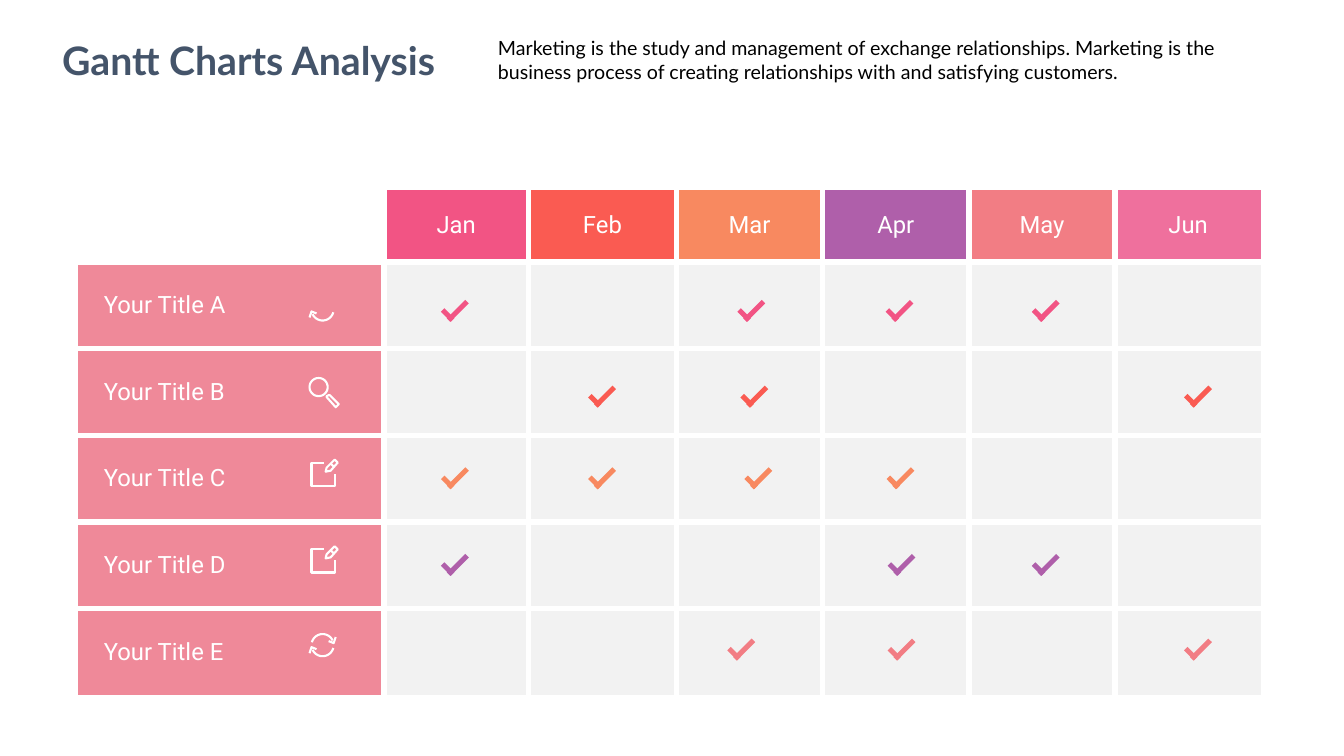
from dataclasses import dataclass
from math import cos, radians, sin

from lxml import etree
from pptx import Presentation
from pptx.dml.color import RGBColor
from pptx.enum.shapes import MSO_SHAPE
from pptx.enum.text import MSO_ANCHOR, MSO_AUTO_SIZE, PP_ALIGN
from pptx.oxml.ns import qn
from pptx.shapes.autoshape import Shape
from pptx.slide import Slide
from pptx.table import _Cell
from pptx.text.text import _Paragraph
from pptx.util import Emu, Pt

BAR = MSO_SHAPE.RECTANGLE
MIDDLE, TOP = MSO_ANCHOR.MIDDLE, MSO_ANCHOR.TOP
LEFT, CENTER = PP_ALIGN.LEFT, PP_ALIGN.CENTER
NO_AUTOFIT = MSO_AUTO_SIZE.NONE
EMU_PER_PX = 9144


@dataclass(frozen=True)
class Theme:
    heading_font: str = "Lato"
    table_font: str = "Roboto"
    title_size: float = 28
    summary_size: float = 14
    table_size: float = 17
    gap_width: float = 4.5
    icon_width: float = 1.5
    title: str = "44546A"
    summary: str = "000000"
    white: str = "FFFFFF"
    task: str = "EF8999"
    slot: str = "F2F2F2"
    pink: str = "F25484"
    red: str = "FA5B52"
    orange: str = "F88960"
    purple: str = "AF5FAA"
    coral: str = "F27D84"
    rose: str = "EF709D"


THEME = Theme()


@dataclass(frozen=True)
class Month:
    name: str
    color: str
    width: int


@dataclass(frozen=True)
class Stroke:
    points: list[tuple[float, float]]
    closed: bool = False


@dataclass(frozen=True)
class Task:
    title: str
    check_color: str
    check_top: int
    check_lefts: list[int]
    icon: list[Stroke]
    icon_left: int
    icon_top: int


def px(length: float) -> Emu:
    return Emu(round(length * EMU_PER_PX))


def arc(cx: float, cy: float, radius: float, start: int, end: int) -> list[tuple[float, float]]:
    return [(cx + radius * cos(radians(a)), cy + radius * sin(radians(a)))
            for a in range(start, end + 1, 10)]


def turning_arrow(sign: int) -> list[Stroke]:
    curve, head = arc(0, 0, 11, 15, 155), [(-6, 4), (-11, 2), (-13, 8)]
    return [Stroke([(sign * x, sign * y) for x, y in part]) for part in (curve, head)]


RETURN = turning_arrow(1)
REFRESH = turning_arrow(1) + turning_arrow(-1)
MAGNIFIER = [
    Stroke(arc(10, 10, 9, 0, 350), True),
    Stroke([(18, 20), (18, 19), (20, 18), (21, 18), (30, 27), (27, 30)], True),
]
NOTE = [
    Stroke([(13, 4), (1, 4), (1, 27), (24, 27), (24, 15)]),
    Stroke([(24, 1), (27, 4), (20, 12), (15, 13), (16, 9)], True),
    Stroke([(20, 5), (23, 8)]),
]

MONTHS = [
    Month("Jan", THEME.pink, 143),
    Month("Feb", THEME.red, 147),
    Month("Mar", THEME.orange, 145),
    Month("Apr", THEME.purple, 145),
    Month("May", THEME.coral, 145),
    Month("Jun", THEME.rose, 145),
]
TASKS = [
    Task("Your Title A", THEME.pink, 310, [437, 731, 878, 1023], RETURN, 320, 307),
    Task("Your Title B", THEME.red, 395, [583, 734, 1174], MAGNIFIER, 306, 374),
    Task("Your Title C", THEME.orange, 476, [437, 583, 738, 879], NOTE, 308, 455),
    Task("Your Title D", THEME.purple, 562, [437, 880, 1023], NOTE, 308, 541),
    Task("Your Title E", THEME.coral, 646, [721, 880, 1174], REFRESH, 320, 640),
]
TASK_WIDTH, HEADER_HEIGHT, TASK_HEIGHT = 304, 72, 86


def write(paragraph: _Paragraph, text: str, font: str, size: float, color: str,
          align: PP_ALIGN, bold: bool = False) -> None:
    paragraph.text = text
    paragraph.alignment = align
    paragraph.font.name = font
    paragraph.font.size = Pt(size)
    paragraph.font.bold = bold
    paragraph.font.color.rgb = RGBColor.from_string(color)


def place(box: Shape, left: int, top: int, width: int, height: int,
          anchor: MSO_ANCHOR, wrap: bool) -> _Paragraph:
    box.left, box.top, box.width, box.height = map(px, (left, top, width, height))
    frame = box.text_frame
    frame.auto_size = NO_AUTOFIT
    frame.word_wrap = wrap
    frame.vertical_anchor = anchor
    return frame.paragraphs[0]


def add_borders(cell: _Cell, sides: str) -> None:
    properties = cell._tc.get_or_add_tcPr()
    for position, side in enumerate(sides):
        line = etree.Element(qn(f"a:ln{side}"), w=str(Pt(THEME.gap_width)))
        paint = etree.SubElement(line, qn("a:solidFill"))
        etree.SubElement(paint, qn("a:srgbClr"), val=THEME.white)
        properties.insert(position, line)


def fill_cell(cell: _Cell, color: str, text: str = "", align: PP_ALIGN = CENTER,
              inset: int = 5) -> None:
    cell.fill.solid()
    cell.fill.fore_color.rgb = RGBColor.from_string(color)
    cell.vertical_anchor = MIDDLE
    cell.margin_left, cell.margin_right = px(inset), px(5)
    cell.margin_top = cell.margin_bottom = px(3)
    if text:
        write(cell.text_frame.paragraphs[0], text, THEME.table_font,
              THEME.table_size, THEME.white, align)


def add_schedule(slide: Slide) -> None:
    widths = [TASK_WIDTH] + [month.width for month in MONTHS]
    heights = [HEADER_HEIGHT] + [TASK_HEIGHT] * len(TASKS)
    schedule = slide.shapes.add_table(len(heights), len(widths), px(77), px(188),
                                      px(sum(widths)), px(sum(heights))).table
    schedule.first_row = schedule.horz_banding = False
    for column, width in zip(schedule.columns, widths):
        column.width = px(width)
    for row, height in zip(schedule.rows, heights):
        row.height = px(height)

    fill_cell(schedule.cell(0, 0), THEME.white)
    for c, month in enumerate(MONTHS, 1):
        fill_cell(schedule.cell(0, c), month.color, month.name)
    for r, task in enumerate(TASKS, 1):
        fill_cell(schedule.cell(r, 0), THEME.task, task.title, LEFT, 26)
        for c in range(1, len(widths)):
            fill_cell(schedule.cell(r, c), THEME.slot)
    for r in range(len(heights)):
        for c in range(len(widths)):
            inner = {"L": c > 0, "R": c < len(widths) - 1,
                     "T": r > 0, "B": r < len(heights) - 1}
            add_borders(schedule.cell(r, c), "".join(s for s in inner if inner[s]))


def add_check(slide: Slide, left: int, top: int, color: str) -> None:
    check = slide.shapes.add_group_shape()
    for x, y, width, angle in ((left, top, 14, 45), (left + 4, top - 4, 26, 135)):
        bar = check.shapes.add_shape(BAR, px(x), px(y), px(width), px(5))
        bar.rotation = angle
        bar.shadow.inherit = False
        bar.fill.solid()
        bar.fill.fore_color.rgb = RGBColor.from_string(color)
        bar.line.fill.background()


def add_icon(slide: Slide, strokes: list[Stroke], left: int, top: int) -> None:
    outlines = [[(px(left + x), px(top + y)) for x, y in s.points] for s in strokes]
    builder = slide.shapes.build_freeform(*outlines[0][0])
    for stroke, outline in zip(strokes, outlines):
        if stroke is not strokes[0]:
            builder.move_to(*outline[0])
        builder.add_line_segments(outline[1:], close=stroke.closed)
    icon = builder.convert_to_shape()
    icon.shadow.inherit = False
    icon.fill.background()
    icon.line.color.rgb = RGBColor.from_string(THEME.white)
    icon.line.width = Pt(THEME.icon_width)


def main() -> None:
    deck = Presentation()
    deck.slide_width, deck.slide_height = px(1333), px(750)
    slide = deck.slides.add_slide(deck.slide_layouts[5])
    heading = place(slide.shapes.title, 39, 31, 415, 57, MIDDLE, False)
    write(heading, "Gantt Charts Analysis", THEME.heading_font, THEME.title_size,
          THEME.title, CENTER, True)
    summary = place(slide.shapes.add_textbox(0, 0, 0, 0), 484, 31, 782, 57, TOP, True)
    write(summary, "Marketing is the study and management of exchange relationships. "
          "Marketing is the business process of creating relationships with and "
          "satisfying customers.", THEME.heading_font, THEME.summary_size,
          THEME.summary, LEFT)
    add_schedule(slide)
    for task in TASKS:
        add_icon(slide, task.icon, task.icon_left, task.icon_top)
        for left in task.check_lefts:
            add_check(slide, left, task.check_top, task.check_color)
    deck.save("out.pptx")


if __name__ == "__main__":
    main()
